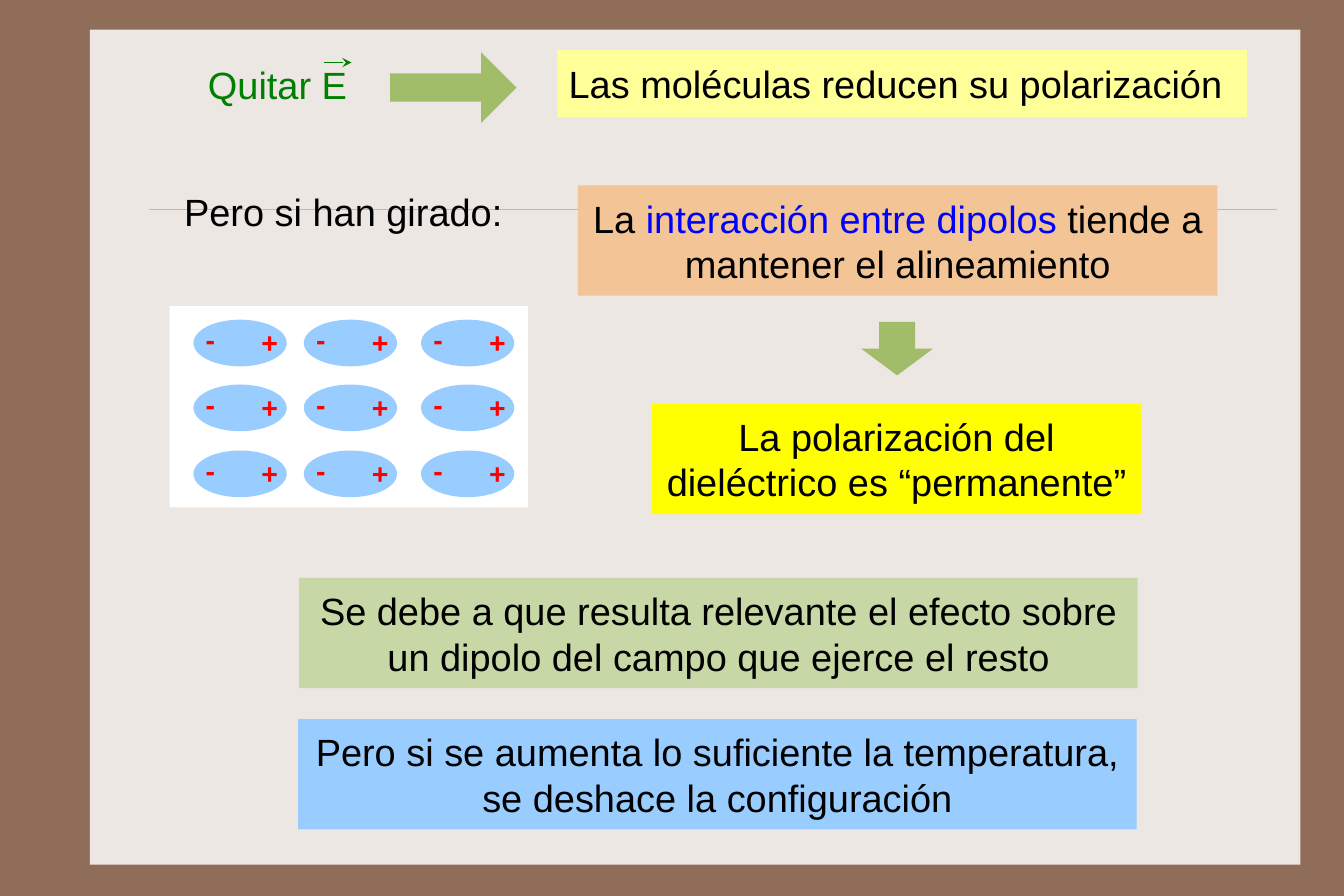
from dataclasses import dataclass
from itertools import product
from typing import Any

from pptx import Presentation
from pptx.dml.color import RGBColor
from pptx.enum.shapes import MSO_CONNECTOR as Connector, MSO_SHAPE as Shape
from pptx.enum.text import MSO_ANCHOR as Anchor, MSO_AUTO_SIZE as AutoSize, PP_ALIGN as Align
from pptx.oxml.ns import qn
from pptx.util import Inches, Pt
from lxml.etree import SubElement

COLORS = {
    "frame": "906D58", "panel": "EDE7E3", "rule": "CBBD83", "black": "000000",
    "white": "FFFFFF", "blue": "0000FF", "red": "FF0000", "green": "008000",
    "sky": "99CCFF", "sage": "C7D7A5", "yellow": "FFFF00", "peach": "F3C495",
    "cream": "FFFF99", "arrow": "A1BD69",
}
WIDE_INSETS = (0.12, 0.08)
LABEL_INSETS = (0.1, 0.09)
BODY_FONT = {"name": "Arial", "size": Pt(24)}
SIGN_FONT = {"name": "Arial", "size": Pt(18), "bold": True}

Box = tuple[float, float, float, float]
Runs = list[tuple[str, str]]


@dataclass
class Statement:
    box: Box
    fill: str
    runs: Runs


@dataclass
class Sign:
    text: str
    dx: float
    dy: float
    width: float


STATEMENTS = [
    Statement((2.62, 6.32, 7.37, 0.97), "sky", [
        ("Pero si se aumenta lo suficiente la temperatura, se deshace la configuración", "black")]),
    Statement((2.63, 5.08, 7.37, 0.97), "sage", [
        ("Se debe a que resulta relevante el efecto sobre un dipolo del campo que ejerce el resto",
         "black")]),
    Statement((5.73, 3.55, 4.3, 0.97), "yellow", [
        ("La polarización del dieléctrico es “permanente”", "black")]),
    Statement((5.08, 1.63, 5.62, 0.97), "peach", [
        ("La ", "black"), ("interacción entre dipolos ", "blue"),
        ("tiende a mantener el alineamiento", "black")]),
]
DIPOLE_ROWS = (2.81, 3.38, 3.96)
DIPOLE_COLUMNS = (1.7, 2.67, 3.7)
SIGNS = [Sign("+", 0.5, -0.04, 0.34), Sign("-", 0.01, -0.07, 0.28)]


def color(name: str) -> RGBColor:
    return RGBColor.from_string(COLORS[name])


def add_filled(shapes: Any, kind: Shape, box: Box, fill: str) -> Any:
    shape = shapes.add_shape(kind, *map(Inches, box))
    shape.shadow.inherit = False
    shape.fill.solid()
    shape.fill.fore_color.rgb = color(fill)
    shape.line.fill.background()
    return shape


def write_text(shape: Any, runs: Runs, font: dict[str, Any], insets: tuple[float, float],
               align: Align = Align.LEFT, wrap: bool = True, grow: bool = True) -> None:
    frame = shape.text_frame
    side, end = map(Inches, insets)
    frame_format = {
        "margin_left": side, "margin_right": side, "margin_top": end, "margin_bottom": end,
        "word_wrap": wrap,
        "auto_size": AutoSize.SHAPE_TO_FIT_TEXT if grow else AutoSize.NONE,
        "vertical_anchor": Anchor.MIDDLE if align == Align.CENTER else Anchor.TOP,
    }
    for name, value in frame_format.items():
        setattr(frame, name, value)
    paragraph = frame.paragraphs[0]
    paragraph.alignment = align
    for text, run_color in runs:
        run = paragraph.add_run()
        run.text = text
        for name, value in font.items():
            setattr(run.font, name, value)
        run.font.color.rgb = color(run_color)


def add_label(shapes: Any, box: Box, text: str, text_color: str, font: dict[str, Any],
              wrap: bool = False, grow: bool = True) -> None:
    label = shapes.add_textbox(*map(Inches, box))
    write_text(label, [(text, text_color)], font, LABEL_INSETS, wrap=wrap, grow=grow)


def add_line(shapes: Any, ends: Box, line_color: str, width: float) -> Any:
    line = shapes.add_connector(Connector.STRAIGHT, *map(Inches, ends))
    line.line.color.rgb = color(line_color)
    line.line.width = Pt(width)
    SubElement(line._element.spPr, qn("a:effectLst"))
    return line


def add_dipoles(shapes: Any) -> None:
    add_filled(shapes, Shape.RECTANGLE, (1.49, 2.69, 3.15, 1.77), "white")
    for top, left in product(DIPOLE_ROWS, DIPOLE_COLUMNS):
        add_filled(shapes, Shape.OVAL, (left, top, 0.82, 0.41), "sky")
        for sign in SIGNS:
            add_label(shapes, (left + sign.dx, top + sign.dy, sign.width, 0.48),
                      sign.text, "red", SIGN_FONT, grow=False)


def add_field_removal(shapes: Any) -> None:
    arrow = add_filled(shapes, Shape.RIGHT_ARROW, (3.43, 0.46, 1.11, 0.62), "arrow")
    arrow.adjustments[0] = 0.4
    add_label(shapes, (1.73, 0.45, 1.43, 0.59), "Quitar E", "green", BODY_FONT)
    vector = add_line(shapes, (2.85, 0.55, 3.09, 0.55), "green", 1)
    SubElement(vector.line._get_or_add_ln(), qn("a:tailEnd"), type="stealth")


def main() -> None:
    presentation = Presentation()
    presentation.slide_width = Inches(11 + 13 / 16)
    presentation.slide_height = Inches(7 + 7 / 8)
    slide = presentation.slides.add_slide(presentation.slide_layouts[6])
    shapes = slide.shapes

    # Background panel and rule
    slide.background.fill.solid()
    slide.background.fill.fore_color.rgb = color("frame")
    add_filled(shapes, Shape.RECTANGLE, (0.79, 0.26, 10.64, 7.34), "panel")
    add_line(shapes, (1.31, 1.84, 11.22, 1.84), "rule", 0.25)

    # Chain of statements
    for statement in STATEMENTS:
        shape = add_filled(shapes, Shape.RECTANGLE, statement.box, statement.fill)
        write_text(shape, statement.runs, BODY_FONT, WIDE_INSETS, Align.CENTER)
    down_arrow = add_filled(shapes, Shape.RIGHT_ARROW, (7.65, 2.75, 0.47, 0.63), "arrow")
    down_arrow.rotation = 90

    # Aligned dipoles
    add_dipoles(shapes.add_group_shape().shapes)

    # Top row and its follow-up
    result = add_filled(shapes, Shape.RECTANGLE, (4.9, 0.44, 6.06, 0.59), "cream")
    write_text(result, [("Las moléculas reducen su polarización", "black")],
               BODY_FONT, LABEL_INSETS)
    add_label(shapes, (1.52, 1.57, 3.13, 0.59), "Pero si han girado:", "black",
              BODY_FONT, wrap=True)
    add_field_removal(shapes.add_group_shape().shapes)

    presentation.save("out.pptx")


if __name__ == "__main__":
    main()
